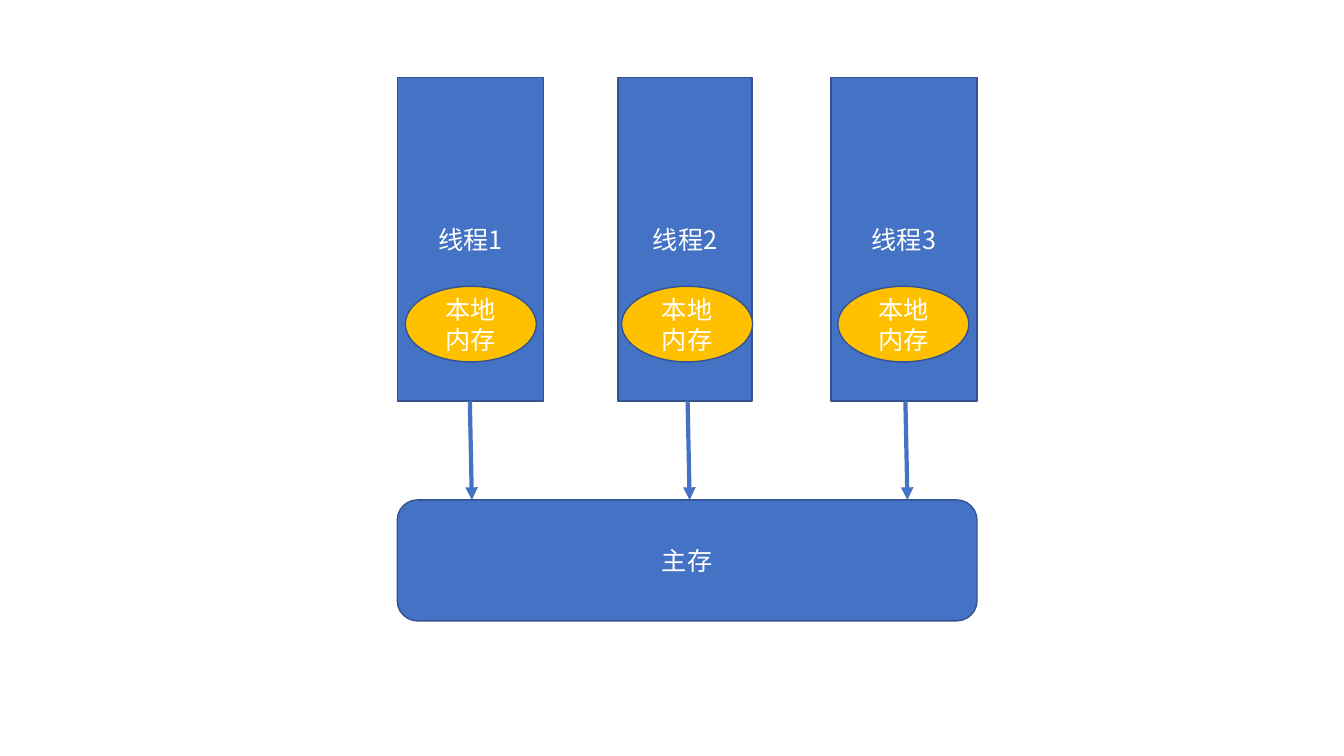
from lxml.etree import SubElement
from pptx import Presentation
from pptx.dml.color import RGBColor
from pptx.enum.shapes import MSO_CONNECTOR, MSO_SHAPE
from pptx.enum.text import MSO_ANCHOR, PP_ALIGN
from pptx.oxml.ns import qn
from pptx.util import Inches, Pt

FONT = "Noto Sans CJK SC"
BLUE, EDGE, AMBER, WHITE = "4472C4", "325491", "FFC000", "FFFFFF"


def color(value):
    """Turn a hex string into a colour."""
    return RGBColor.from_string(value)


def add_block(s, kind, box, text, fill):
    """Add an outlined shape with centred white text."""
    sp = s.shapes.add_shape(kind, *(Inches(v) for v in box))
    sp.shadow.inherit = False
    sp.fill.solid()
    sp.fill.fore_color.rgb = color(fill)
    sp.line.color.rgb = color(EDGE)
    sp.line.width = Pt(1)
    tf = sp.text_frame
    tf.word_wrap = True
    tf.vertical_anchor = MSO_ANCHOR.MIDDLE
    p = tf.paragraphs[0]
    p.alignment = PP_ALIGN.CENTER
    r = p.add_run()
    r.text = text
    r.font.size = Pt(18)
    r.font.name = FONT
    r.font.color.rgb = color(WHITE)
    SubElement(r._r.get_or_add_rPr(), qn("a:ea"), typeface=FONT)
    return sp


def add_arrow(s, x1, y1, x2, y2):
    """Add a thick blue line ending in a triangle."""
    ends = (Inches(v) for v in (x1, y1, x2, y2))
    cx = s.shapes.add_connector(MSO_CONNECTOR.STRAIGHT, *ends)
    cx.line.color.rgb = color(BLUE)
    cx.line.width = Pt(3)
    SubElement(cx.line._get_or_add_ln(), qn("a:tailEnd"), type="triangle")
    SubElement(cx._element.spPr, qn("a:effectLst"))


def add_threads(s, x, y, w, h):
    """Draw the threads, then the local memory inside each."""
    columns = [(x, 1.45), (x + 2.19, 1.33), (x + w - 1.45, 1.45)]
    for i, (left, width) in enumerate(columns, 1):
        add_block(s, MSO_SHAPE.RECTANGLE, (left, y, width, h), f"线程{i}", BLUE)
    for i in range(len(columns)):
        box = (x + 0.08 + 2.145 * i, y + 2.07, 1.3, 0.75)
        add_block(s, MSO_SHAPE.OVAL, box, "本地内存", AMBER)


def add_main_memory(s, x, y, w, h):
    """Draw the main memory shared by all threads."""
    add_block(s, MSO_SHAPE.ROUNDED_RECTANGLE, (x, y, w, h), "主存", BLUE)


def add_links(s, x, y, h):
    """Draw one arrow from each thread down to the main memory."""
    for i in range(3):
        left = x + 0.72 + 2.16 * i
        add_arrow(s, left, y, left + 0.02, y + h)


def main():
    """Build the thread memory model slide."""
    prs = Presentation()
    prs.slide_width, prs.slide_height = Inches(13.33), Inches(7.5)
    s = prs.slides.add_slide(prs.slide_layouts[6])
    x, w = 3.94, 5.75
    add_main_memory(s, x, 4.96, w, 1.2)
    add_threads(s, x, 0.77, w, 3.21)
    add_links(s, x, 3.98, 0.98)
    prs.save("out.pptx")


if __name__ == "__main__":
    main()
